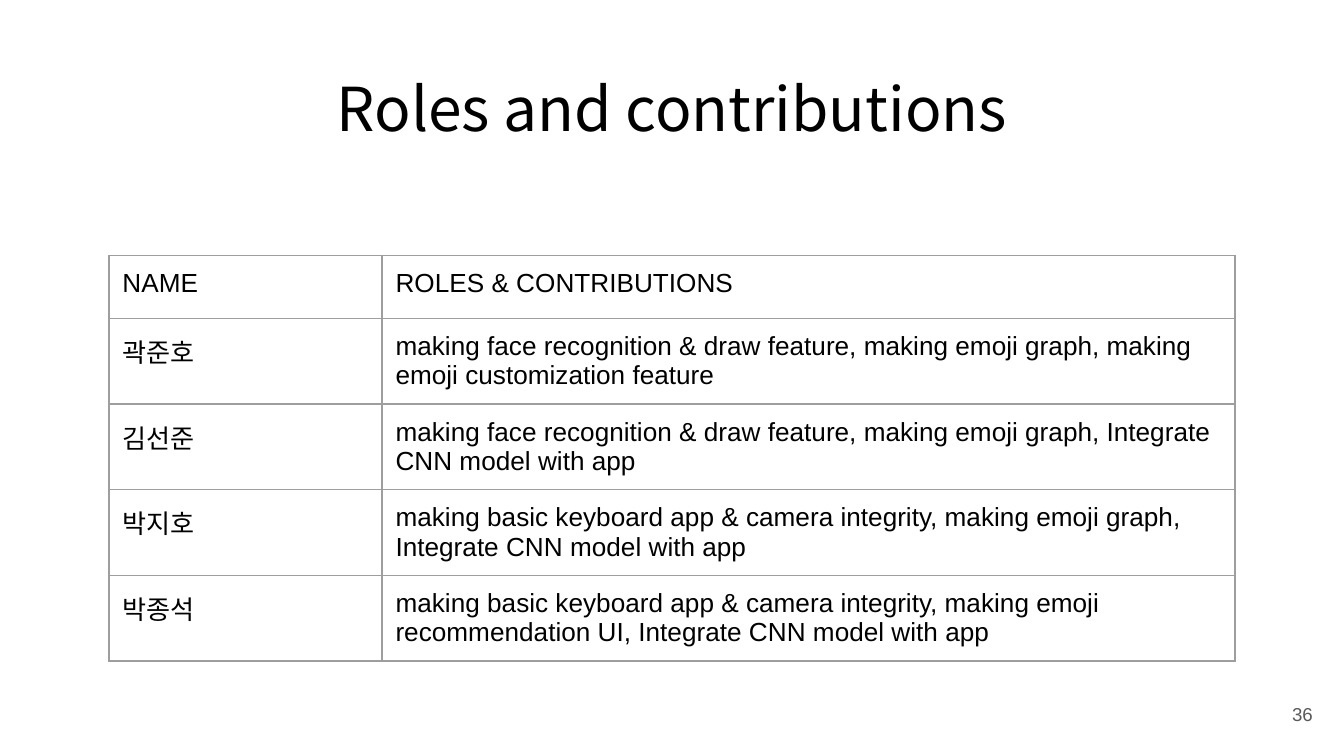
from dataclasses import dataclass

from lxml.etree import SubElement
from pptx import Presentation
from pptx.dml.color import RGBColor
from pptx.enum.text import MSO_ANCHOR, MSO_AUTO_SIZE, PP_ALIGN
from pptx.oxml.ns import qn
from pptx.util import Pt


@dataclass(frozen=True)
class Theme:
    title_font: str = "Noto Sans CJK KR"
    body_font: str = "Arial"
    title_size: float = 32.4
    body_size: float = 14
    number_size: float = 10
    ink: str = "000000"
    muted: str = "595959"
    border: str = "9E9E9E"
    border_width: float = 0.75
    inset: float = 7.2


theme = Theme()


def format_text(frame, font_name, size, color, alignment):
    para = frame.paragraphs[0]
    para.alignment = alignment
    para.font.name = font_name
    para.font.size = Pt(size)
    para.font.bold = False
    para.font.color.rgb = RGBColor.from_string(color)
    frame.word_wrap = True
    frame.margin_left = frame.margin_right = Pt(theme.inset)
    frame.margin_top = frame.margin_bottom = Pt(theme.inset)


def add_borders(cell):
    properties = cell._tc.get_or_add_tcPr()
    for position, side in enumerate(("a:lnL", "a:lnR", "a:lnT", "a:lnB")):
        line = SubElement(properties, qn(side), w=str(Pt(theme.border_width)))
        fill = SubElement(line, qn("a:solidFill"))
        SubElement(fill, qn("a:srgbClr"), val=theme.border)
        # Borders must come before the cell fill
        properties.insert(position, line)


deck = Presentation()
deck.slide_width, deck.slide_height = Pt(720), Pt(405)
page = deck.slides.add_slide(deck.slide_layouts[5])

# Title
title = page.shapes.title
title.left, title.top, title.width, title.height = Pt(24.5), Pt(35), Pt(671), Pt(45.1)
title.text_frame.text = "Roles and contributions"
title.text_frame.auto_size = MSO_AUTO_SIZE.NONE
title.text_frame.vertical_anchor = MSO_ANCHOR.MIDDLE
format_text(title.text_frame, theme.title_font, theme.title_size, theme.ink, PP_ALIGN.CENTER)

# Roles table
rows = [
    ("NAME", "ROLES & CONTRIBUTIONS"),
    ("곽준호", "making face recognition & draw feature, making emoji graph, "
     "making emoji customization feature"),
    ("김선준", "making face recognition & draw feature, making emoji graph, "
     "Integrate CNN model with app"),
    ("박지호", "making basic keyboard app & camera integrity, making emoji graph, "
     "Integrate CNN model with app"),
    ("박종석", "making basic keyboard app & camera integrity, "
     "making emoji recommendation UI, Integrate CNN model with app"),
]
column_widths = (146.3, 457)
row_height = 33.8
table = page.shapes.add_table(
    len(rows), len(column_widths), Pt(58.4), Pt(136.8),
    Pt(sum(column_widths)), Pt(row_height * len(rows))).table
table.first_row = table.horz_banding = False
for column, width in zip(table.columns, column_widths):
    column.width = Pt(width)
for row, texts in zip(table.rows, rows):
    row.height = Pt(row_height)
    for cell, text in zip(row.cells, texts):
        cell.text = text
        format_text(cell.text_frame, theme.body_font, theme.body_size, theme.ink, PP_ALIGN.LEFT)
        cell.margin_left = cell.margin_right = Pt(theme.inset)
        cell.margin_top = cell.margin_bottom = Pt(theme.inset)
        cell.fill.background()
        add_borders(cell)

# Page number
number = page.shapes.add_textbox(Pt(667.2), Pt(367.2), Pt(43.2), Pt(31))
number.text_frame.text = "36"
number.text_frame.vertical_anchor = MSO_ANCHOR.MIDDLE
format_text(number.text_frame, theme.body_font, theme.number_size, theme.muted, PP_ALIGN.RIGHT)

deck.save("out.pptx")
